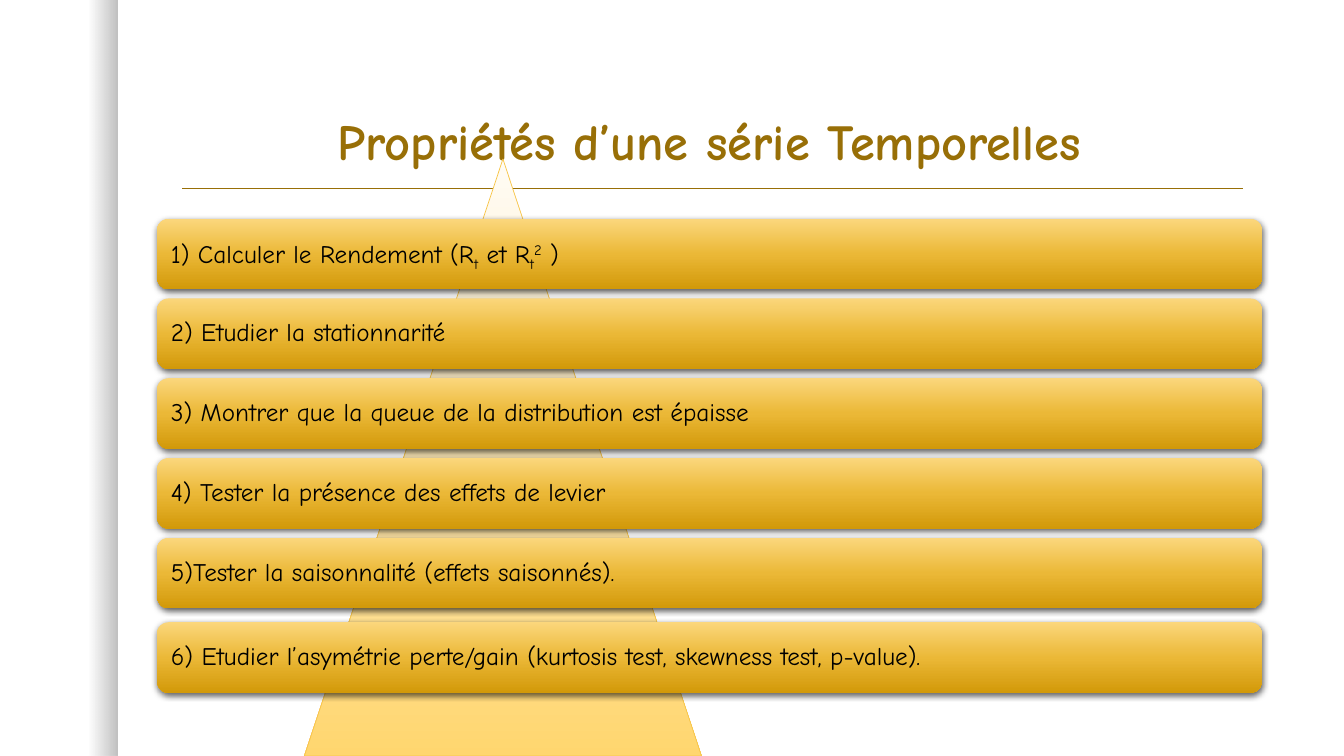
from lxml.etree import SubElement
from pptx import Presentation
from pptx.dml.color import RGBColor
from pptx.enum.shapes import MSO_CONNECTOR, MSO_SHAPE
from pptx.enum.text import MSO_ANCHOR, PP_ALIGN
from pptx.oxml.ns import qn
from pptx.util import Cm, Pt

FONT = "Comic Neue"
BROWN = RGBColor(0x98, 0x6F, 0x07)
GOLD_LINE = RGBColor(0xF7, 0xC5, 0x47)
BLACK = RGBColor(0, 0, 0)
# Gradient stops: position, colour, opacity (all in percent)
BAND_STOPS = [(75, BLACK, 0), (100, BLACK, 25)]
PYRAMID_STOPS = [
    (0, RGBColor(0xFF, 0xFC, 0xF5), 100),
    (50, RGBColor(0xFD, 0xE9, 0xB7), 100),
    (100, RGBColor(0xFF, 0xD6, 0x6F), 100),
]
BAR_STOPS = [
    (0, RGBColor(0xFB, 0xD7, 0x7C), 100),
    (50, RGBColor(0xEB, 0xB8, 0x37), 100),
    (100, RGBColor(0xD2, 0x99, 0x09), 100),
]

# Each step is a list of runs: text, baseline shift in percent
STEPS = [
    [("1) Calculer le Rendement (R", 0), ("t", -25), (" et R", 0),
     ("t", -25), ("2", 30), (" )", 0)],
    [("2) Etudier la stationnarité", 0)],
    [("3) Montrer que la queue de la distribution est épaisse", 0)],
    [("4) Tester la présence des effets de levier", 0)],
    [("5)Tester la saisonnalité (effets saisonnés).", 0)],
    [("6) Etudier l’asymétrie perte/gain (kurtosis test, skewness test, p-value).", 0)],
]
FIRST_TOP, PITCH, LAST_EXTRA = 5.51, 2.01, 0.12


def add_color(parent, color, opacity):
    element = SubElement(parent, qn("a:srgbClr"), val=str(color))
    SubElement(element, qn("a:alpha"), val=str(opacity * 1000))


def add_gradient_shape(slide, kind, left, top, width, height, stops, angle):
    shape = slide.shapes.add_shape(kind, Cm(left), Cm(top), Cm(width), Cm(height))
    shape.shadow.inherit = False
    shape.line.fill.background()
    shape.fill.gradient()
    shape.fill.gradient_angle = angle
    stop_list = shape._element.spPr.find(".//" + qn("a:gsLst"))
    stop_list.clear()
    for position, color, opacity in stops:
        stop = SubElement(stop_list, qn("a:gs"), pos=str(position * 1000))
        add_color(stop, color, opacity)
    return shape


def add_shadow(shape):
    effects = shape._element.spPr.find(qn("a:effectLst"))
    shadow = SubElement(effects, qn("a:outerShdw"), blurRad=str(Pt(4.5)),
                        dist=str(Pt(1.5)), dir="5400000", rotWithShape="0")
    add_color(shadow, BLACK, 63)


def add_run(paragraph, text, size, color, bold=False, baseline=0):
    run = paragraph.add_run()
    run.text = text
    run.font.name = FONT
    run.font.size = Pt(size)
    run.font.bold = bold
    run.font.color.rgb = color
    if baseline:
        run._r.get_or_add_rPr().set("baseline", str(baseline * 1000))


def format_title(title):
    title.left, title.top, title.width, title.height = Cm(4.22), Cm(1.07), Cm(27.3), Cm(3.38)
    title.text_frame.vertical_anchor = MSO_ANCHOR.BOTTOM
    paragraph = title.text_frame.paragraphs[0]
    paragraph.alignment = PP_ALIGN.CENTER
    paragraph.line_spacing = 0.9
    add_run(paragraph, "Propriétés d’une série Temporelles", 36, BROWN, bold=True)


def add_rule(slide):
    rule = slide.shapes.add_connector(
        MSO_CONNECTOR.STRAIGHT, Cm(4.6), Cm(4.75), Cm(31.32), Cm(4.75))
    rule.line.color.rgb = BROWN
    rule.line.width = Pt(1)
    SubElement(rule._element.spPr, qn("a:effectLst"))


def add_step(slide, top, runs):
    bar = add_gradient_shape(slide, MSO_SHAPE.ROUNDED_RECTANGLE,
                             3.96, top, 27.84, 1.78, BAR_STOPS, 270)
    add_shadow(bar)
    frame = bar.text_frame
    frame.word_wrap = True
    frame.vertical_anchor = MSO_ANCHOR.MIDDLE
    frame.margin_left = frame.margin_right = Cm(0.26)
    paragraph = frame.paragraphs[0]
    paragraph.alignment = PP_ALIGN.LEFT
    paragraph.line_spacing = 0.9
    for text, baseline in runs:
        add_run(paragraph, text, 18, BLACK, baseline=baseline)


def main():
    presentation = Presentation()
    presentation.slide_width = Cm(33.87)
    presentation.slide_height = Cm(19.05)
    slide = presentation.slides.add_slide(presentation.slide_layouts[5])

    # Title, side band and rule
    format_title(slide.shapes.title)
    add_gradient_shape(slide, MSO_SHAPE.RECTANGLE, 0, 0, 2.95, 19.05, BAND_STOPS, 0)
    add_rule(slide)

    # Pyramid behind the steps
    pyramid = add_gradient_shape(slide, MSO_SHAPE.ISOSCELES_TRIANGLE,
                                 7.67, 4.01, 10.01, 15.04, PYRAMID_STOPS, 270)
    pyramid.line.color.rgb = GOLD_LINE
    pyramid.line.width = Pt(0.5)

    # Steps, with a slightly wider gap before the last one
    for index, runs in enumerate(STEPS):
        extra = LAST_EXTRA if index == len(STEPS) - 1 else 0
        add_step(slide, FIRST_TOP + index * PITCH + extra, runs)

    presentation.save("out.pptx")


if __name__ == "__main__":
    main()
